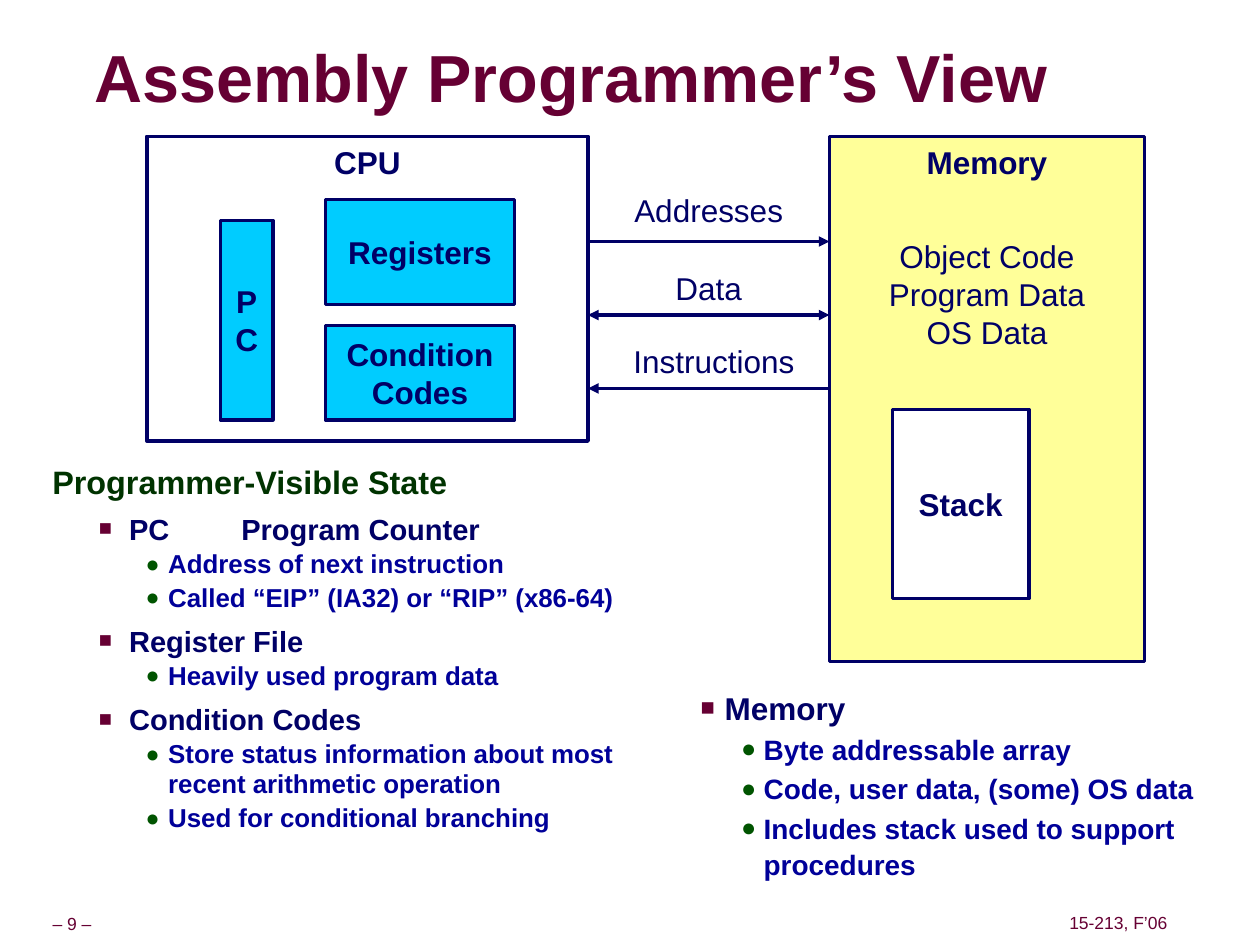
from collections import namedtuple

from lxml import etree
from pptx import Presentation
from pptx import util as u
from pptx.dml.color import RGBColor
from pptx.enum import shapes, text
from pptx.oxml.ns import qn

COLORS = {"maroon": "660033", "navy": "000066", "blue": "000099", "green": "003300",
          "dot": "005400", "cyan": "00CCFF", "yellow": "FFFF99", "white": "FFFFFF",
          "shadow": "999999"}
FONT = "Arial"
CELL = u.Inches(1) / 12  # the slide is a grid of 120 columns by 90 rows
CENTER = text.PP_ALIGN.CENTER
TOP, MIDDLE = text.MSO_ANCHOR.TOP, text.MSO_ANCHOR.MIDDLE

Box = namedtuple("Box", "left top width height")

# Bulleted levels: symbol, its colour and size in percent
BULLETS = {1: ("■", "maroon", 75), 2: ("●", "dot", 90)}
STATE_STYLES = {
    0: dict(size=18.5, color="green", spacing=0.85, before=0, margin=0, indent=0),
    1: dict(size=16.6, color="navy", spacing=1.0, before=5.6, margin=0.61, indent=-0.24),
    2: dict(size=14.8, color="blue", spacing=0.97, before=2, margin=0.92, indent=-0.18),
}
MEMORY_STYLES = {
    1: dict(size=18, color="navy", spacing=1.0, before=5.6, margin=0.32, indent=-0.19),
    2: dict(size=16, color="blue", spacing=1.07, before=2, margin=0.63, indent=-0.18),
}
STATE_NOTES = [
    (0, "Programmer-Visible State"),
    (1, "PC\tProgram Counter"),
    (2, "Address of next instruction"),
    (2, "Called “EIP” (IA32) or “RIP” (x86-64)"),
    (1, "Register File"),
    (2, "Heavily used program data"),
    (1, "Condition Codes"),
    (2, "Store status information about most recent arithmetic operation"),
    (2, "Used for conditional branching"),
]
MEMORY_NOTES = [
    (1, "Memory"),
    (2, "Byte addressable array"),
    (2, "Code, user data, (some) OS data"),
    (2, "Includes stack used to support procedures"),
]


def rgb(name):
    return RGBColor.from_string(COLORS[name])


def cells(*counts):
    return [u.Emu(round(count * CELL)) for count in counts]


def inside(box, column, row, width, height):
    """Return a box whose corner is counted from the corner of another."""
    return Box(box.left + column, box.top + row, width, height)


def apply(target, values):
    for name, value in values.items():
        setattr(target, name, value)


def add_child(parent, tag, **attributes):
    return etree.SubElement(parent, qn(tag), attributes)


def format_font(font, size, color, bold):
    apply(font, dict(name=FONT, size=u.Pt(size), bold=bold))
    font.color.rgb = rgb(color)


def format_frame(frame, anchor, wrap=True, side=0.1, edge=0.05):
    apply(frame, dict(
        word_wrap=wrap, vertical_anchor=anchor, auto_size=text.MSO_AUTO_SIZE.NONE,
        margin_left=u.Inches(side), margin_right=u.Inches(side),
        margin_top=u.Inches(edge), margin_bottom=u.Inches(edge)))


def write_centered(frame, words, size=18, color="navy", bold=False, spacing=1.0):
    frame.text = words
    for paragraph in frame.paragraphs:
        apply(paragraph, dict(alignment=CENTER, line_spacing=spacing))
        format_font(paragraph.runs[0].font, size, color, bold)


def add_block(slide, box, words, fill=None, anchor=MIDDLE, line=2):
    shape = slide.shapes.add_shape(shapes.MSO_SHAPE.RECTANGLE, *cells(*box))
    shape.shadow.inherit = False
    if fill:
        shape.fill.solid()
        shape.fill.fore_color.rgb = rgb(fill)
    else:
        shape.fill.background()
    shape.line.color.rgb = rgb("navy")
    shape.line.width = u.Pt(line)
    format_frame(shape.text_frame, anchor, wrap=False)
    write_centered(shape.text_frame, words, bold=True)


def add_label(slide, box, words):
    frame = slide.shapes.add_textbox(*cells(*box)).text_frame
    format_frame(frame, TOP)
    write_centered(frame, words)


def add_arrow(slide, box, ends):
    """Draw a level arrow along the top of the box; ends are headEnd, tailEnd."""
    start, top, end = cells(box.left, box.top, box.left + box.width)
    arrow = slide.shapes.add_connector(shapes.MSO_CONNECTOR.STRAIGHT, start, top, end, top)
    arrow.line.color.rgb = rgb("navy")
    arrow.line.width = u.Pt(2)
    line = arrow.line._get_or_add_ln()
    for end_name in ends:
        add_child(line, f"a:{end_name}", type="triangle")
    add_child(arrow._element.spPr, "a:effectLst")


def add_title(slide, box, words):
    title = slide.shapes.title
    apply(title, dict(zip(Box._fields, cells(*box))))
    format_frame(title.text_frame, MIDDLE, side=0, edge=0)
    title.text_frame.text = words
    paragraph = title.text_frame.paragraphs[0]
    apply(paragraph, dict(alignment=text.PP_ALIGN.LEFT, line_spacing=0.87))
    font = paragraph.runs[0].font
    format_font(font, 38, "maroon", True)
    effects = etree.Element(qn("a:effectLst"))
    shadow = add_child(effects, "a:outerShdw", dist=str(u.Pt(3)), dir="2700000")
    add_child(shadow, "a:srgbClr", val=COLORS["shadow"])
    font._element.find(qn("a:solidFill")).addnext(effects)


def add_cpu(slide, box):
    add_block(slide, box, "CPU", anchor=TOP, line=2.25)
    for place, words in [((7, 8, 5, 19), "P\nC"),
                         ((17, 6, 18, 10), "Registers"),
                         ((17, 18, 18, 9), "Condition\nCodes")]:
        add_block(slide, inside(box, *place), words, "cyan")


def add_memory(slide, box):
    add_block(slide, box, "Memory", "yellow", anchor=TOP)
    add_label(slide, inside(box, 0, 9, box.width, 12), "Object Code\nProgram Data\nOS Data")
    add_block(slide, inside(box, 6, 26, 13, 18), "Stack", "white")


def add_bus(slide, box):
    """Spread three labelled arrows evenly down the gap between CPU and memory."""
    lines = [("Addresses", ["tailEnd"], 0, 5.4),
             ("Data", ["headEnd", "tailEnd"], 0, 5),
             ("Instructions", ["headEnd"], 1, 5)]
    for index, (words, ends, inset, lift) in enumerate(lines):
        row = index * box.height / (len(lines) - 1)
        add_arrow(slide, inside(box, 0, row, box.width, 0), ends)
        add_label(slide, inside(box, inset, row - lift, box.width - inset, 4.8), words)


def add_notes_list(slide, box, notes, styles):
    frame = slide.shapes.add_textbox(*cells(*box)).text_frame
    format_frame(frame, TOP)
    for index, (level, words) in enumerate(notes):
        style = styles[level]
        paragraph = frame.add_paragraph() if index else frame.paragraphs[0]
        properties = paragraph._p.get_or_add_pPr()
        properties.set("marL", str(u.Inches(style["margin"])))
        properties.set("indent", str(u.Inches(style["indent"])))
        if level in BULLETS:
            symbol, color, percent = BULLETS[level]
            add_child(add_child(properties, "a:buClr"), "a:srgbClr", val=COLORS[color])
            add_child(properties, "a:buSzPct", val=str(percent * 1000))
            add_child(properties, "a:buFont", typeface=FONT)
            add_child(properties, "a:buChar", char=symbol)
        if "\t" in words:
            tabs = add_child(properties, "a:tabLst")
            add_child(tabs, "a:tab", pos=str(u.Inches(1.5)), algn="l")
        apply(paragraph, dict(level=level, line_spacing=style["spacing"],
                              space_before=u.Pt(style["before"] if index else 0)))
        paragraph.add_run().text = words
        format_font(paragraph.runs[0].font, style["size"], style["color"], True)


def add_footer(slide, box, words):
    frame = slide.shapes.add_textbox(*cells(*box)).text_frame
    format_frame(frame, MIDDLE, wrap=False, side=0.05)
    write_centered(frame, words, size=10, color="maroon", spacing=0.9)


def main():
    presentation = Presentation()
    presentation.slide_width, presentation.slide_height = cells(120, 90)
    slide = presentation.slides.add_slide(presentation.slide_layouts[5])
    add_title(slide, Box(9, 4, 94.8, 7.5), "Assembly Programmer’s View")
    add_cpu(slide, Box(14, 13, 42, 29))
    add_memory(slide, Box(79, 13, 30, 50))
    add_bus(slide, Box(56, 23, 23, 14))
    add_notes_list(slide, Box(3.8, 44, 57.2, 40.6), STATE_NOTES, STATE_STYLES)
    add_notes_list(slide, Box(64, 65, 53.5, 20.6), MEMORY_NOTES, MEMORY_STYLES)
    add_footer(slide, Box(1.1, 86.6, 11.5, 3), "– 9 –")
    add_footer(slide, Box(101.2, 86.5, 10.6, 3), "15-213, F’06")
    presentation.save("out.pptx")


if __name__ == "__main__":
    main()
